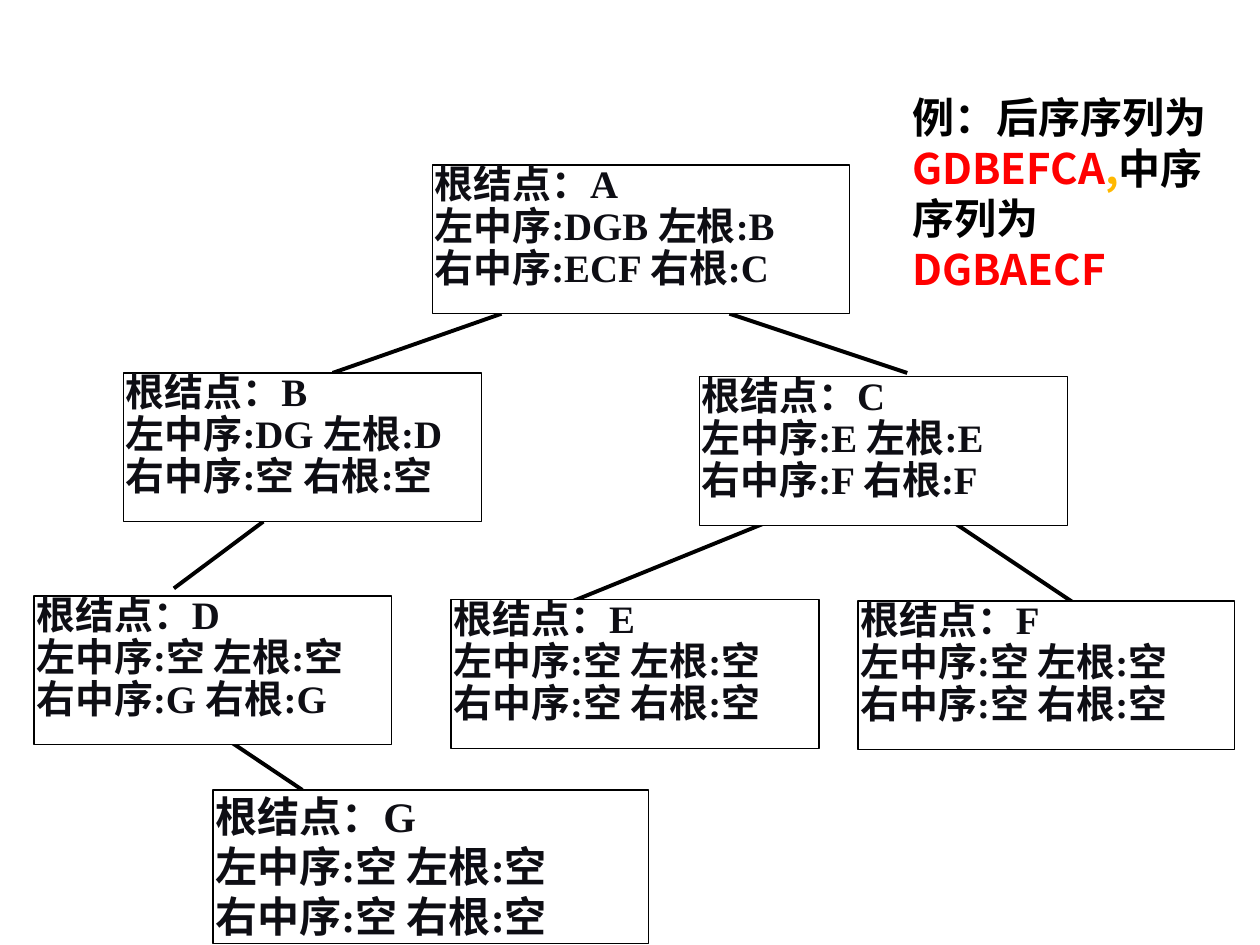
from typing import NamedTuple

from lxml import etree
from pptx import Presentation
from pptx.dml.color import RGBColor
from pptx.enum.shapes import MSO_CONNECTOR, MSO_SHAPE
from pptx.enum.text import MSO_ANCHOR, PP_ALIGN
from pptx.oxml.ns import qn
from pptx.util import Inches, Pt

STRAIGHT = MSO_CONNECTOR.STRAIGHT
RECTANGLE = MSO_SHAPE.RECTANGLE
TOP = MSO_ANCHOR.TOP
JUSTIFY = PP_ALIGN.JUSTIFY

COLORS = {
    "paper": "FFFFFF",
    "line": "000000",
    "node_text": "0E0E14",
    "sequence": "FF0000",
    "comma": "FFB800",
}
COLUMNS, ROWS = 100, 75
SLIDE_WIDTH, SLIDE_HEIGHT = Inches(10), Inches(7.5)
NODE_ROWS = 11.8


class Node(NamedTuple):
    root: str
    left_order: str
    left_root: str
    right_order: str
    right_root: str
    column: float
    row: float
    columns: float
    rows: float = NODE_ROWS
    size: float = 22.2
    spacing: float = 0.9


class Branch(NamedTuple):
    start_column: float
    start_row: float
    end_column: float
    end_row: float


NODES = [
    Node("A", "DGB", "B", "ECF", "C", 34.3, 13.1, 33.1),
    Node("B", "DG", "D", "空", "空", 9.8, 29.6, 28.4),
    Node("D", "空", "空", "G", "G", 2.7, 47.3, 28.4),
    Node("G", "空", "空", "空", "空", 16.9, 62.7, 34.6, 12.2, 24, 1.0),
    Node("C", "E", "E", "F", "F", 55.5, 29.9, 29.2),
    Node("E", "空", "空", "空", "空", 35.8, 47.6, 29.2),
    Node("F", "空", "空", "空", "空", 68.1, 47.7, 29.9),
]
BRANCHES = [
    Branch(20.9, 41.4, 13.8, 46.7),
    Branch(57.9, 24.9, 72, 29.6),
    Branch(39.8, 24.9, 26.4, 29.6),
    Branch(14.6, 56.4, 24, 62.7),
    Branch(61, 41.4, 44.5, 48.1),
    Branch(74.4, 40.6, 86.2, 48.5),
]
QUESTION = [
    ("例：后序序列为", "line"),
    ("GDBEFCA", "sequence"),
    (",", "comma"),
    ("中序序列为", "line"),
    ("DGBAECF", "sequence"),
]


def across(columns: float) -> int:
    return round(SLIDE_WIDTH * columns / COLUMNS)


def down(rows: float) -> int:
    return round(SLIDE_HEIGHT * rows / ROWS)


def color(name: str) -> RGBColor:
    return RGBColor.from_string(COLORS[name])


def draw_question(slide) -> None:
    question = slide.shapes.add_textbox(across(71.4), down(6.8), across(26.8), down(20.2))
    question.text_frame.word_wrap = True
    paragraph = question.text_frame.paragraphs[0]
    paragraph.line_spacing = 1.0
    paragraph.font.name = "Noto Sans CJK SC"
    paragraph.font.size = Pt(24)
    paragraph.font.bold = True
    for words, color_name in QUESTION:
        run = paragraph.add_run()
        run.text = words
        run.font.color.rgb = color(color_name)


def draw_branch(slide, branch: Branch) -> None:
    connector = slide.shapes.add_connector(
        STRAIGHT,
        across(branch.start_column), down(branch.start_row),
        across(branch.end_column), down(branch.end_row),
    )
    connector.line.color.rgb = color("line")
    connector.line.width = Pt(2.25)
    etree.SubElement(connector._element.spPr, qn("a:effectLst"))


def draw_node(slide, node: Node) -> None:
    box = slide.shapes.add_shape(
        RECTANGLE, across(node.column), down(node.row), across(node.columns), down(node.rows)
    )
    box.shadow.inherit = False
    box.fill.solid()
    box.fill.fore_color.rgb = color("paper")
    box.line.color.rgb = color("line")
    box.line.width = Pt(0.75)
    frame = box.text_frame
    frame.word_wrap = True
    frame.vertical_anchor = TOP
    frame.margin_left = Inches(0.02)
    frame.margin_top = frame.margin_right = frame.margin_bottom = 0
    frame.text = "\n".join([
        f"根结点：{node.root}",
        f"左中序:{node.left_order} 左根:{node.left_root}",
        f"右中序:{node.right_order} 右根:{node.right_root}",
    ])
    for paragraph in frame.paragraphs:
        paragraph.alignment = JUSTIFY
        paragraph.line_spacing = node.spacing
        paragraph.font.name = "Times New Roman"
        paragraph.font.size = Pt(node.size)
        paragraph.font.bold = True
        paragraph.font.color.rgb = color("node_text")


def main() -> None:
    presentation = Presentation()
    presentation.slide_width, presentation.slide_height = SLIDE_WIDTH, SLIDE_HEIGHT
    slide = presentation.slides.add_slide(presentation.slide_layouts[6])
    draw_question(slide)
    for branch in BRANCHES:
        draw_branch(slide, branch)
    for node in NODES:
        draw_node(slide, node)
    presentation.save("out.pptx")


if __name__ == "__main__":
    main()
